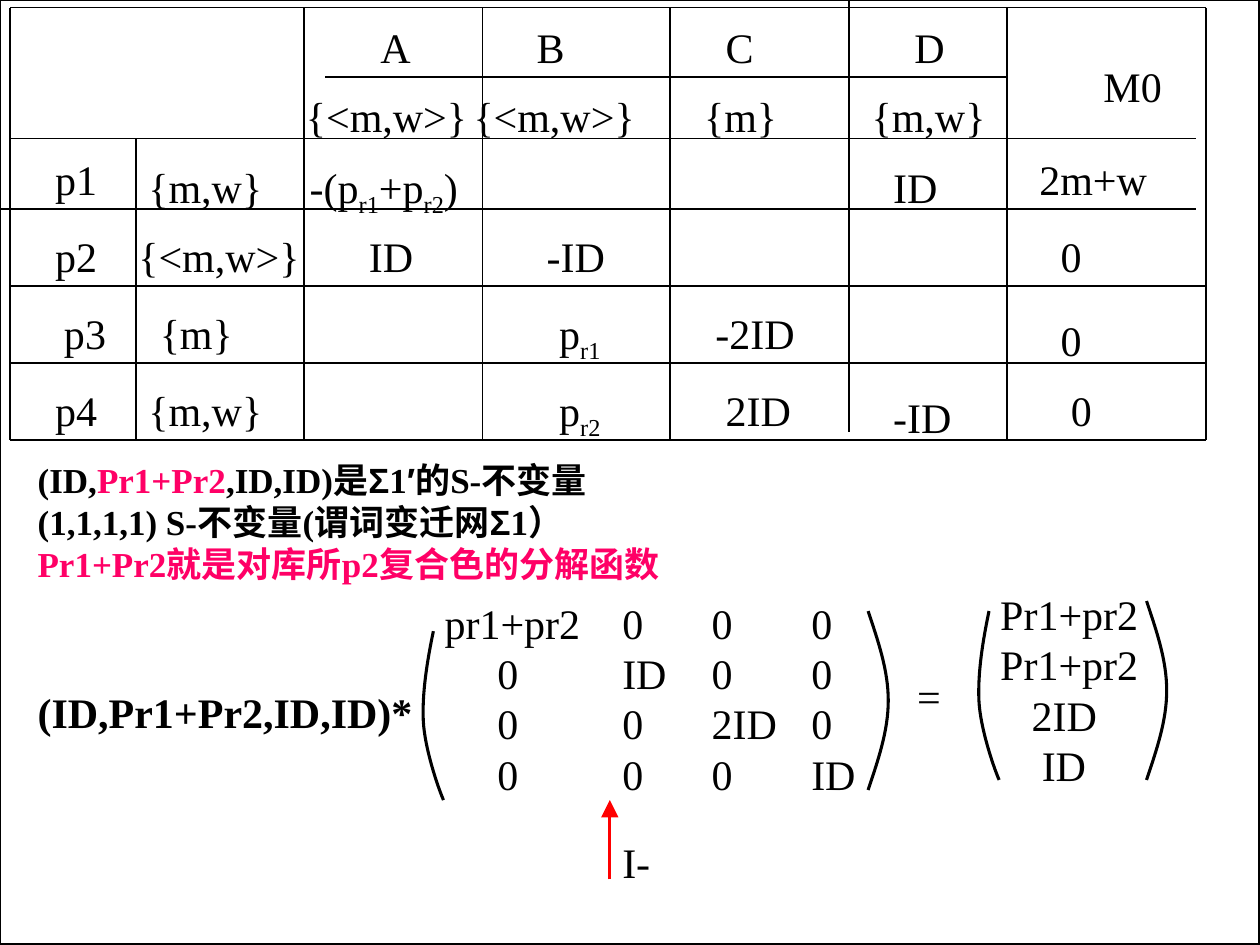
from lxml import etree
from pptx import Presentation
from pptx.dml.color import RGBColor
from pptx.enum.shapes import MSO_CONNECTOR, MSO_SHAPE
from pptx.enum.text import MSO_AUTO_SIZE
from pptx.oxml.ns import qn
from pptx.util import Inches, Pt

STRAIGHT = MSO_CONNECTOR.STRAIGHT
RECTANGLE = MSO_SHAPE.RECTANGLE
FIT_TEXT = MSO_AUTO_SIZE.SHAPE_TO_FIT_TEXT

SERIF, SANS = "Times New Roman", "Arial"
BLACK, WHITE, PINK, RED = "000000", "FFFFFF", "FF0066", "FF0000"
LINE_HEIGHT = 0.4

# Table rules: (position, start, end)
ROW_RULES = [(0.06, 0.08, 9.57), (0.61, 2.58, 7.99), (1.1, 0.08, 9.49),
             (1.66, 0, 9.49), (2.27, 0.08, 9.57), (2.88, 0.08, 9.57),
             (3.49, 0.08, 9.57)]
COLUMN_RULES = [(0.08, 0.06, 3.49), (1.08, 1.1, 3.49), (2.41, 0.06, 3.49),
                (3.83, 0.06, 3.49), (5.32, 0.06, 3.49), (6.74, 0, 3.43),
                (7.99, 0.06, 3.49), (9.57, 0.06, 3.49)]

# Table rows: top, then (text, left, width) with subscripts between bars
TABLE_ROWS = [
    (0.12, [("A", 2.92, 0.44), ("B", 4.16, 0.42), ("C", 5.66, 0.42),
            ("D", 7.16, 0.44)]),
    (0.43, [("M0", 8.66, 0.66)]),
    (0.67, [("{<m,w>}", 2.33, 1.48), ("{<m,w>}", 3.66, 1.48),
            ("{m}", 5.49, 0.78), ("{m,w}", 6.82, 1.1)]),
    (1.17, [("p1", 0.34, 0.53), ("2m+w", 8.15, 1.1)]),
    (1.23, [("{m,w}", 1.08, 1.1), ("-(p|r1|+p|r2|)", 2.36, 1.42),
            ("ID", 6.99, 0.55)]),
    (1.78, [("p2", 0.34, 0.53), ("{<m,w>}", 1, 1.48), ("ID", 2.83, 0.55),
            ("-ID", 4.24, 0.66), ("0", 8.32, 0.36)]),
    (2.39, [("p3", 0.41, 0.53), ("{m}", 1.17, 0.78), ("p|r1|", 4.34, 0.53),
            ("-2ID", 5.58, 0.83)]),
    (2.45, [("0", 8.32, 0.36)]),
    (3, [("p4", 0.34, 0.53), ("{m,w}", 1.08, 1.1), ("p|r2|", 4.34, 0.53),
         ("2ID", 5.66, 0.72), ("0", 8.4, 0.36)]),
    (3.06, [("-ID", 6.99, 0.66)]),
]

# Matrix columns: left, top, width, entries, indents
MATRIX_COLUMNS = [
    (3.43, 4.69, 1.5, ["pr1+pr2", "0", "0", "0"], [0, 0.42, 0.42, 0.42]),
    (4.84, 4.69, 0.55, ["0", "ID", "0", "0"], [0] * 4),
    (5.55, 4.69, 0.72, ["0", "0", "2ID", "0"], [0] * 4),
    (6.34, 4.69, 0.55, ["0", "0", "0", "ID"], [0] * 4),
    (7.84, 4.62, 1.34, ["Pr1+pr2", "Pr1+pr2", "2ID", "ID"],
     [0, 0, 0.25, 0.33]),
]

# Bracket curves: the control points of two cubic segments after the start
LEFT_BRACKET = [(-0.05, 0.24), (-0.09, 0.49), (-0.08, 0.71),
                (-0.07, 0.93), (0.04, 1.25), (0.08, 1.34)]
RIGHT_BRACKET = [(0.08, 0.24), (0.16, 0.47), (0.16, 0.71),
                 (0.16, 0.95), (0.08, 1.18), (0, 1.42)]

# Notes: paragraphs, each of lines of (text, font, colour)
NOTES = [
    [[("(ID,", SERIF, BLACK), ("Pr1+Pr2", SERIF, PINK),
      (",ID,ID)是", SERIF, BLACK), ("Σ", SANS, BLACK), ("1", SERIF, BLACK),
      ("′", SANS, BLACK), ("的S-不变量", SERIF, BLACK)],
     [("(1,1,1,1) S-不变量(谓词变迁网", SERIF, BLACK), ("Σ", SANS, BLACK),
      ("1）", SERIF, BLACK)]],
    [[("Pr1+Pr2就是对库所p2复合色的分解函数", SERIF, PINK)]],
]


def rgb(hex_colour):
    return RGBColor.from_string(hex_colour)


def add_frame(shapes, width, height):
    frame = shapes.add_shape(RECTANGLE, 0, 0, width, height)
    frame.shadow.inherit = False
    frame.fill.solid()
    frame.fill.fore_color.rgb = rgb(WHITE)
    frame.line.color.rgb = rgb(BLACK)
    frame.line.width = Pt(1.75)


def add_rule(shapes, start, end, colour=BLACK, width=1):
    rule = shapes.add_connector(STRAIGHT, *map(Inches, start + end))
    rule.line.color.rgb = rgb(colour)
    rule.line.width = Pt(width)
    etree.SubElement(rule._element.spPr, qn("a:effectLst"))
    return rule


def add_arrow(shapes, start, end, colour):
    arrow = add_rule(shapes, start, end, colour, 1.75)
    outline = arrow.line._get_or_add_ln()
    etree.SubElement(outline, qn("a:tailEnd"), type="triangle",
                     w="lg", len="lg")


def add_text_frame(shapes, left, top, width, height, wrap=False):
    box = shapes.add_textbox(*map(Inches, (left, top, width, height)))
    box.text_frame.word_wrap = wrap
    box.text_frame.auto_size = FIT_TEXT
    return box.text_frame


def add_run(paragraph, text, size=24, font=SERIF, colour=BLACK, bold=False):
    run = paragraph.add_run()
    run.text = text
    run.font.size = Pt(size)
    run.font.name = font
    run.font.bold = bold
    run.font.color.rgb = rgb(colour)
    return run


def add_label(shapes, text, left, top, width, bold=False):
    """Add one line of text; parts between bars become subscripts."""
    height = 0.56 if "|" in text else 0.5
    paragraph = add_text_frame(shapes, left, top, width, height).paragraphs[0]
    for index, part in enumerate(text.split("|")):
        if part:
            run = add_run(paragraph, part, bold=bold)
            if index % 2:
                run._r.get_or_add_rPr().set("baseline", "-25000")


def add_matrix_column(shapes, left, top, width, entries, indents):
    height = 0.1 + LINE_HEIGHT * len(entries)
    frame = add_text_frame(shapes, left, top, width, height, wrap=True)
    for index, (entry, indent) in enumerate(zip(entries, indents)):
        paragraph = frame.add_paragraph() if index else frame.paragraphs[0]
        add_run(paragraph, entry)
        if indent:
            paragraph._p.get_or_add_pPr().set("marL", str(Inches(indent)))


def bend_segments(freeform):
    """Turn every three straight segments into one cubic curve."""
    outline = next(freeform._element.iter(qn("a:path")))
    segments = outline.findall(qn("a:lnTo"))
    for first in range(0, len(segments), 3):
        curve = etree.SubElement(outline, qn("a:cubicBezTo"))
        for segment in segments[first:first + 3]:
            curve.append(segment[0])
            outline.remove(segment)


def add_bracket(shapes, left, top, curve):
    builder = shapes.build_freeform(Inches(left), Inches(top))
    builder.add_line_segments(
        [(Inches(left + x), Inches(top + y)) for x, y in curve], close=False)
    bracket = builder.convert_to_shape()
    bend_segments(bracket)
    bracket.shadow.inherit = False
    bracket.fill.background()
    bracket.line.color.rgb = rgb(BLACK)
    bracket.line.width = Pt(1.75)


def add_incidence_table(shapes):
    for y, left, right in ROW_RULES:
        add_rule(shapes, (left, y), (right, y))
    for x, top, bottom in COLUMN_RULES:
        add_rule(shapes, (x, top), (x, bottom))
    for top, cells in TABLE_ROWS:
        for text, left, width in cells:
            add_label(shapes, text, left, top, width)


def add_notes(shapes):
    frame = add_text_frame(shapes, 0.2, 3.59, 9.45, 1.1, wrap=True)
    for index, lines in enumerate(NOTES):
        paragraph = frame.add_paragraph() if index else frame.paragraphs[0]
        for line_index, line in enumerate(lines):
            if line_index:
                paragraph.add_line_break()
            for text, font, colour in line:
                add_run(paragraph, text, 20, font, colour, bold=True)


def add_equation(shapes):
    add_label(shapes, "(ID,Pr1+Pr2,ID,ID)*", 0.2, 5.4, 3.22, bold=True)
    for column in MATRIX_COLUMNS:
        add_matrix_column(shapes, *column)
    add_label(shapes, "=", 7.18, 5.27, 0.39)
    for left, top, curve in ((3.44, 5.01, LEFT_BRACKET),
                             (6.89, 4.85, RIGHT_BRACKET),
                             (7.85, 4.85, LEFT_BRACKET),
                             (9.1, 4.77, RIGHT_BRACKET)):
        add_bracket(shapes, left, top, curve)
    add_arrow(shapes, (4.84, 6.98), (4.84, 6.35), RED)
    add_label(shapes, "I-", 4.84, 6.59, 0.42)


def main():
    deck = Presentation()
    deck.slide_width, deck.slide_height = Inches(10), Inches(7.5)
    shapes = deck.slides.add_slide(deck.slide_layouts[6]).shapes
    add_frame(shapes, deck.slide_width, deck.slide_height)
    add_incidence_table(shapes.add_group_shape().shapes)
    add_equation(shapes)
    add_notes(shapes)
    deck.save("out.pptx")


if __name__ == "__main__":
    main()
